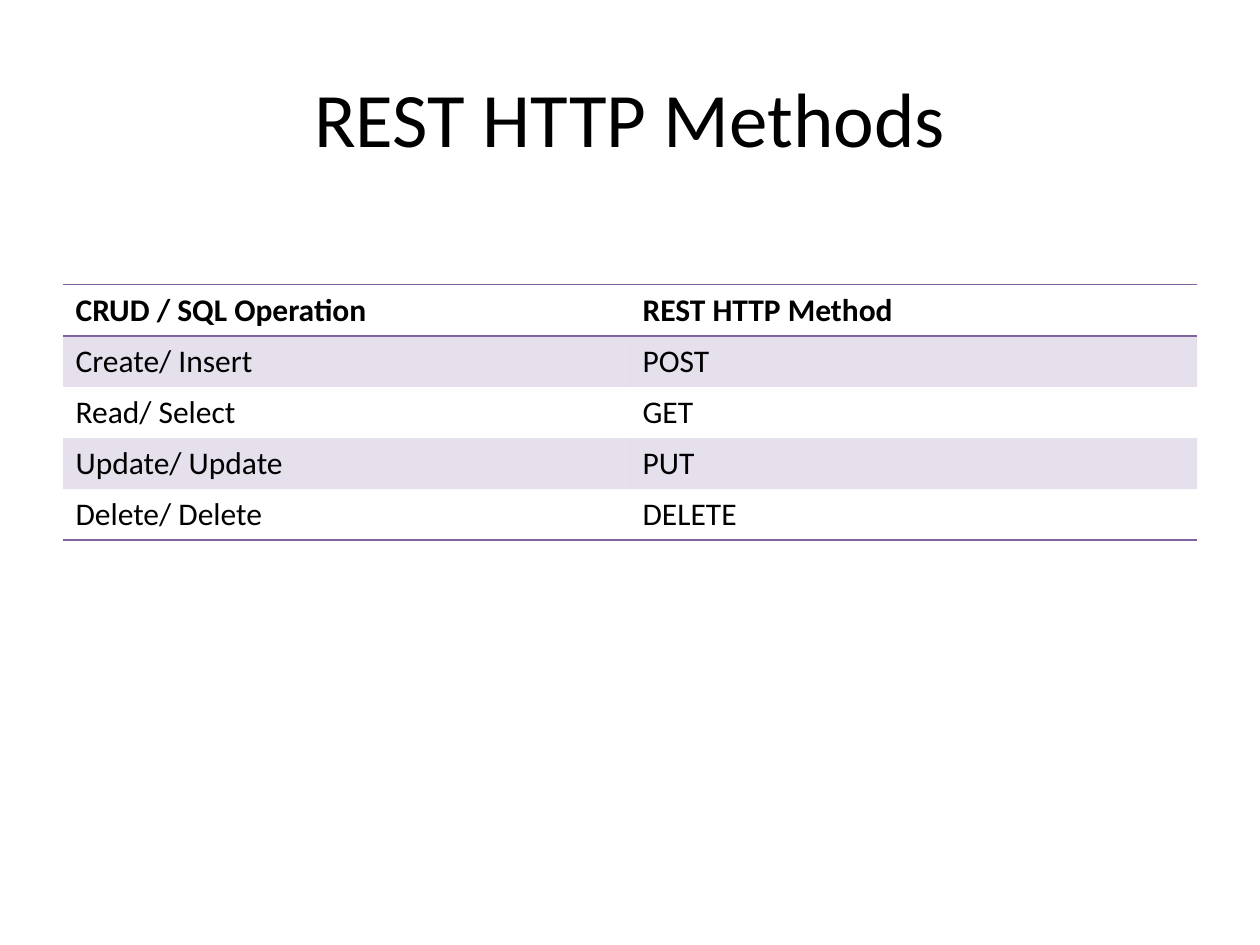
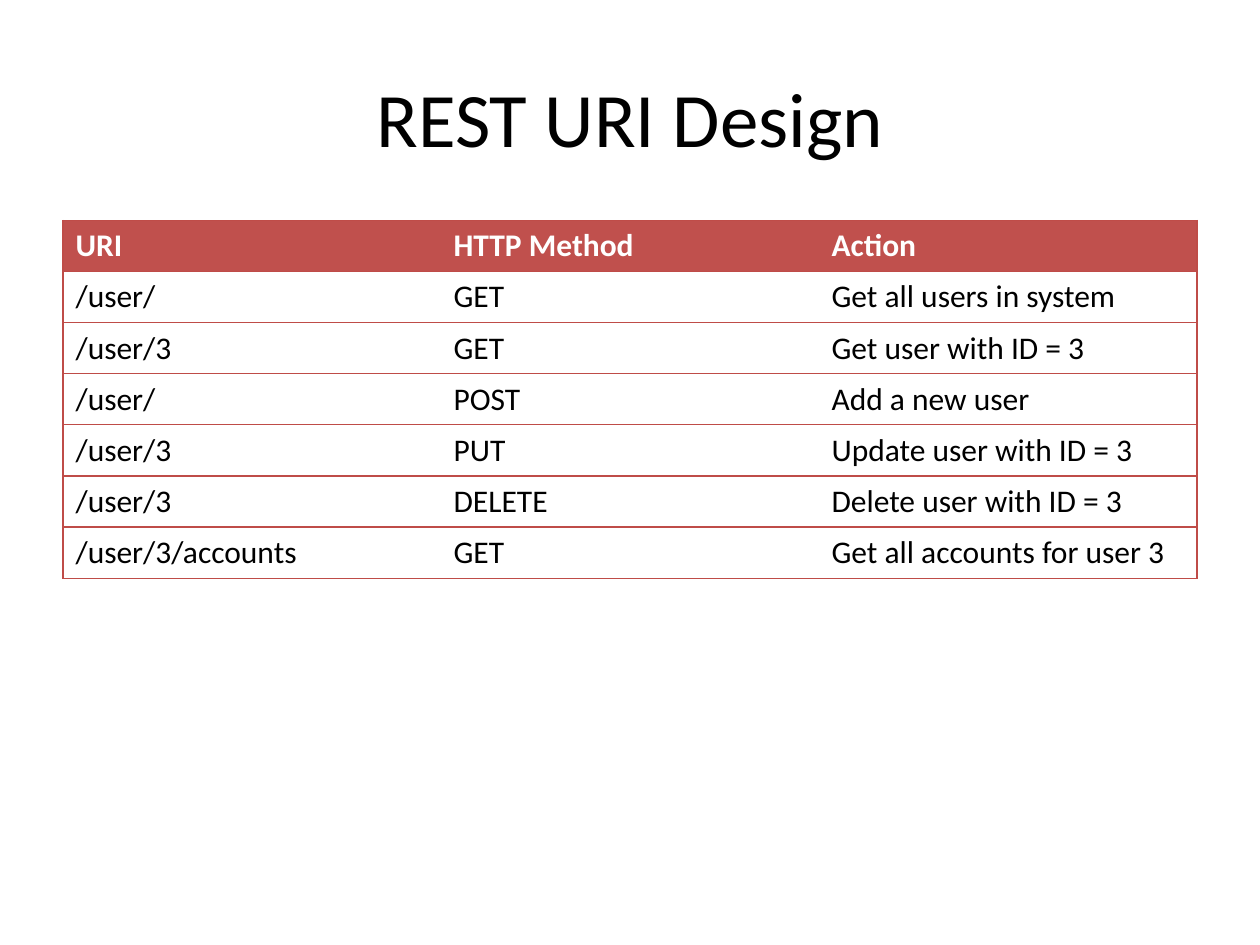
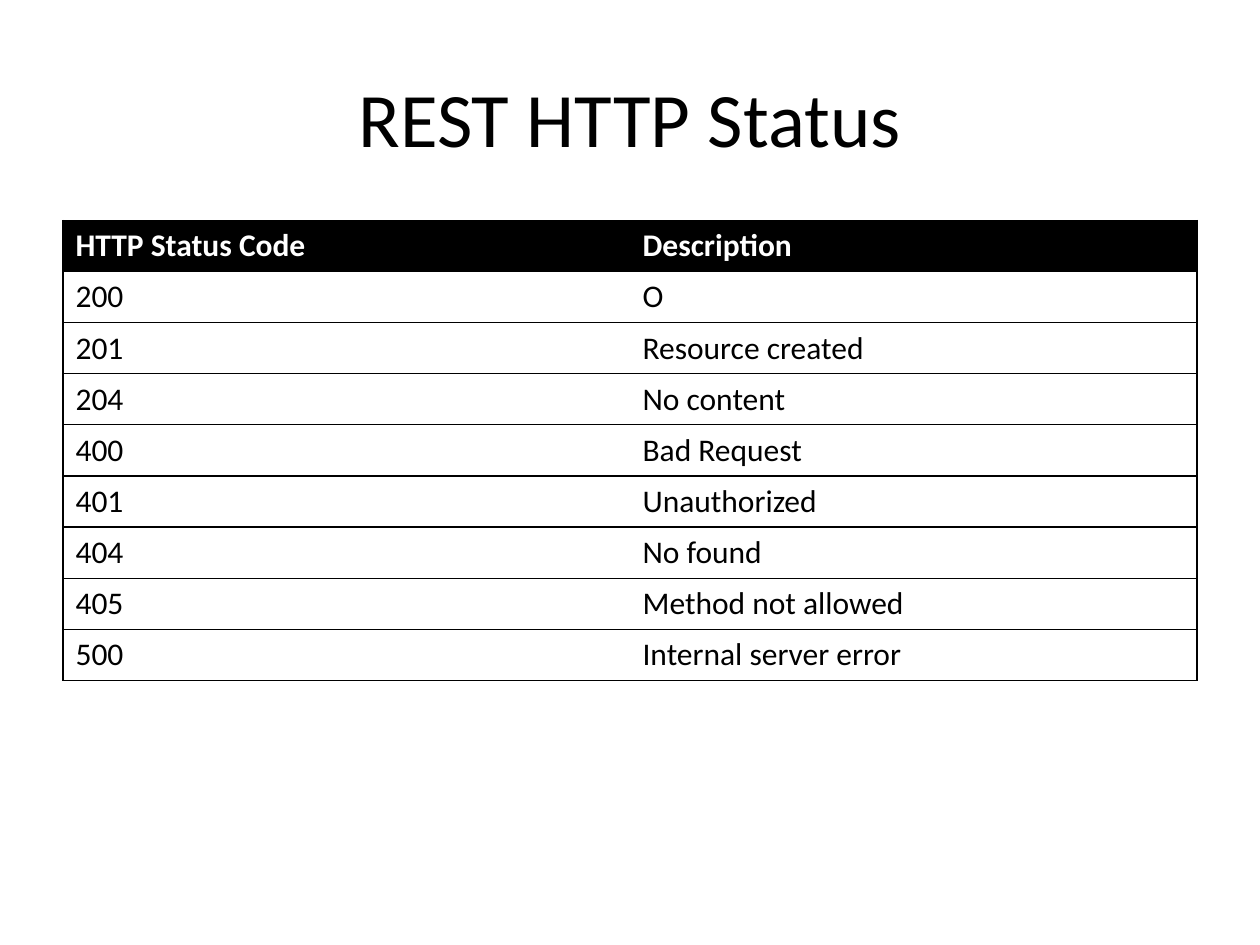
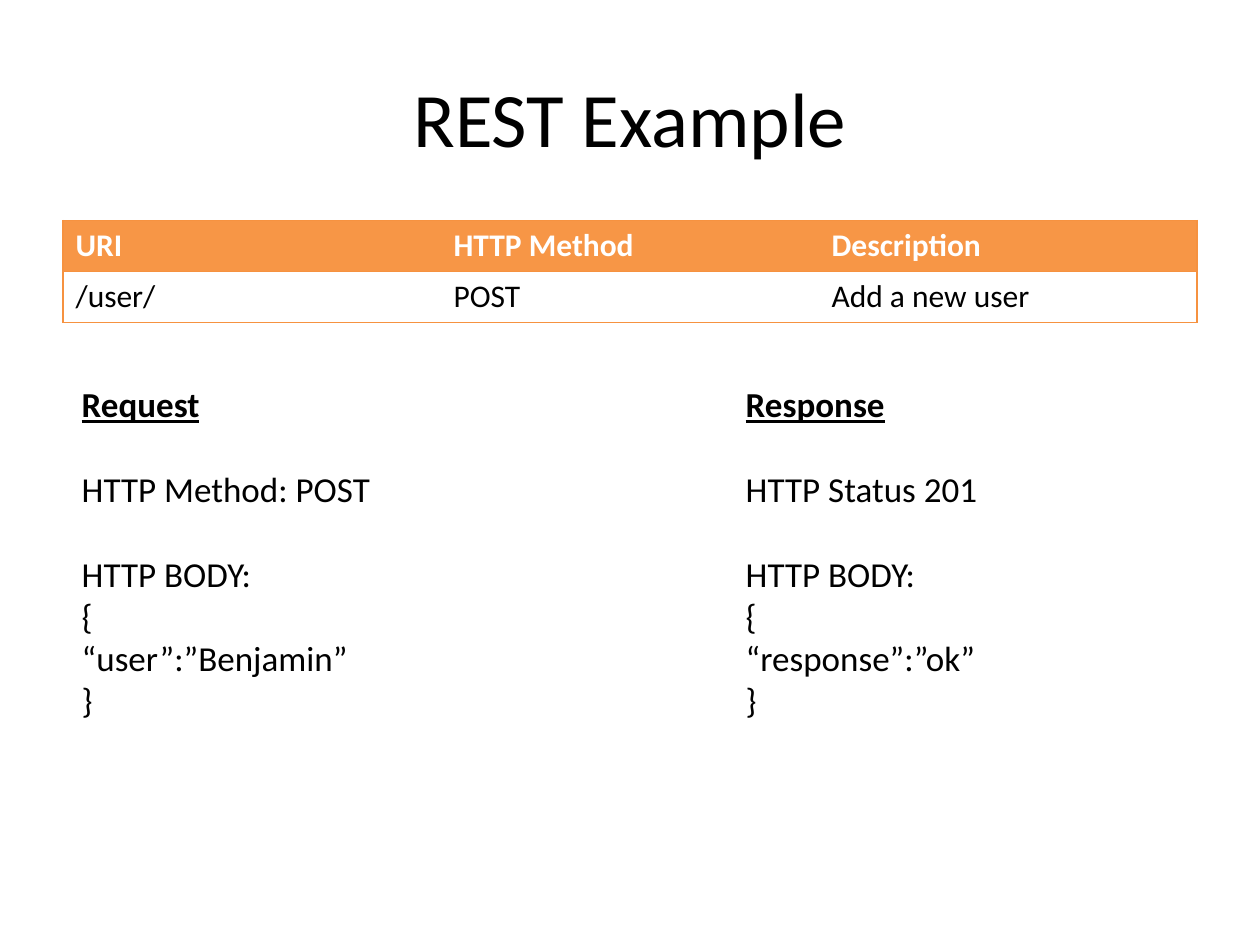
from dataclasses import dataclass

from lxml import etree
from pptx import Presentation
from pptx.dml.color import RGBColor
from pptx.enum.text import MSO_ANCHOR, MSO_AUTO_SIZE, PP_ALIGN
from pptx.oxml.ns import qn
from pptx.util import Inches, Pt

CENTER = PP_ALIGN.CENTER
MIDDLE = MSO_ANCHOR.MIDDLE
GROW = MSO_AUTO_SIZE.SHAPE_TO_FIT_TEXT
TITLE_ONLY = 5
PLAIN_TABLE = "{2D5ABB26-0587-4C30-8999-92F81FD0307C}"


@dataclass(frozen=True)
class Theme:
    font: str = "Calibri"
    ink: str = "000000"
    white: str = "FFFFFF"
    purple: str = "8064A2"
    red: str = "C0504D"
    red_line: str = "BF4C48"
    orange: str = "F79646"
    orange_line: str = "F69240"
    title_size: float = 44
    table_size: float = 18
    body_size: float = 20
    blank_line: float = 24.4
    band_opacity: int = 20
    columns: int = 20
    rows: int = 30
    margin: float = 1
    content_width: float = 18
    table_top: float = 7
    table_row: float = 1.62


class Deck:
    def __init__(self, theme):
        self.theme = theme
        self.deck = Presentation()
        self.deck.slide_width = Inches(10)
        self.deck.slide_height = Inches(7.5)
        self.page = None

    def across(self, columns):
        return round(self.deck.slide_width * columns / self.theme.columns)

    def down(self, rows):
        return round(self.deck.slide_height * rows / self.theme.rows)

    def area(self, left, top, width, height):
        return self.across(left), self.down(top), self.across(width), self.down(height)

    def style(self, para, size, color=None, bold=False, underline=False):
        font = para.font
        font.name = self.theme.font
        font.size = Pt(size)
        font.bold = bold
        font.underline = underline
        font.color.rgb = RGBColor.from_string(color or self.theme.ink)

    def add_page(self, title):
        theme = self.theme
        self.page = self.deck.slides.add_slide(self.deck.slide_layouts[TITLE_ONLY])
        box = self.page.shapes.title
        box.left, box.top, box.width, box.height = self.area(
            theme.margin, 1.2, theme.content_width, 5)
        box.text_frame.text = title
        box.text_frame.vertical_anchor = MIDDLE
        para = box.text_frame.paragraphs[0]
        para.alignment = CENTER
        self.style(para, theme.title_size)

    def add_borders(self, cell, sides, color, width):
        properties = cell._tc.get_or_add_tcPr()
        for side in "LRTB":
            if side in sides:
                line = etree.SubElement(properties, qn(f"a:ln{side}"), w=str(Pt(width)))
                fill = etree.SubElement(line, qn("a:solidFill"))
                etree.SubElement(fill, qn("a:srgbClr"), val=color)

    def fill_cell(self, cell, color, opacity=100):
        if color is None:
            cell.fill.background()
            return
        cell.fill.solid()
        cell.fill.fore_color.rgb = RGBColor.from_string(color)
        if opacity < 100:
            tint = cell._tc.tcPr.find(f"{qn('a:solidFill')}/{qn('a:srgbClr')}")
            etree.SubElement(tint, qn("a:alpha"), val=str(opacity * 1000))

    def add_table(self, records, top):
        theme = self.theme
        frame = self.page.shapes.add_table(
            len(records), len(records[0]),
            *self.area(theme.margin, top, theme.content_width, theme.table_row * len(records)))
        table = frame.table
        table.first_row = table.horz_banding = False
        table._tbl.tblPr.find(qn("a:tableStyleId")).text = PLAIN_TABLE
        for row in table.rows:
            row.height = self.down(theme.table_row)
        for row_index, record in enumerate(records):
            for column_index, text in enumerate(record):
                cell = table.cell(row_index, column_index)
                cell.text = text
                yield row_index, column_index, cell

    def add_banded_table(self, records, top, color):
        theme = self.theme
        last = len(records) - 1
        for row, _, cell in self.add_table(records, top):
            self.style(cell.text_frame.paragraphs[0], theme.table_size, bold=row == 0)
            sides = {0: "TB", last: "B"}.get(row, "")
            self.add_borders(cell, sides, color, 1)
            self.fill_cell(cell, color if row % 2 else None, theme.band_opacity)

    def add_ruled_table(self, records, header_color, line_color):
        theme = self.theme
        last_column = len(records[0]) - 1
        for row, column, cell in self.add_table(records, theme.table_top):
            header = row == 0
            self.style(cell.text_frame.paragraphs[0], theme.table_size,
                       theme.white if header else theme.ink, bold=header)
            sides = "TB"
            if column == 0:
                sides += "L"
            if column == last_column:
                sides += "R"
            self.add_borders(cell, sides, line_color, 0.75)
            self.fill_cell(cell, header_color if header else None)

    def add_message(self, heading, blocks, left, top, width, height):
        theme = self.theme
        box = self.page.shapes.add_textbox(*self.area(left, top, width, height))
        frame = box.text_frame
        frame.word_wrap = True
        frame.auto_size = GROW
        frame.text = heading
        self.style(frame.paragraphs[0], theme.body_size, bold=True, underline=True)
        for block in blocks:
            for index, line in enumerate(block):
                para = frame.add_paragraph()
                para.text = line
                if index == 0:
                    para.space_before = Pt(theme.blank_line)
                self.style(para, theme.body_size)


METHODS = [
    ("CRUD / SQL Operation", "REST HTTP Method"),
    ("Create/ Insert", "POST"),
    ("Read/ Select", "GET"),
    ("Update/ Update", "PUT"),
    ("Delete/ Delete", "DELETE"),
]
URIS = [
    ("URI", "HTTP Method", "Action"),
    ("/user/", "GET", "Get all users in system"),
    ("/user/3", "GET", "Get user with ID = 3"),
    ("/user/", "POST", "Add a new user"),
    ("/user/3", "PUT", "Update user with ID = 3"),
    ("/user/3", "DELETE", "Delete user with ID = 3"),
    ("/user/3/accounts", "GET", "Get all accounts for user 3"),
]
STATUSES = [
    ("HTTP Status Code", "Description"),
    ("200", "O"),
    ("201", "Resource created"),
    ("204", "No content"),
    ("400", "Bad Request"),
    ("401", "Unauthorized"),
    ("404", "No found"),
    ("405", "Method not allowed"),
    ("500", "Internal server error"),
]
EXAMPLE = [
    ("URI", "HTTP Method", "Description"),
    ("/user/", "POST", "Add a new user"),
]
REQUEST = [["HTTP Method: POST"], ["HTTP BODY:", "{", "“user”:”Benjamin”", "}"]]
RESPONSE = [["HTTP Status 201"], ["HTTP BODY:", "{", "“response”:”ok”", "}"]]


def main():
    theme = Theme()
    deck = Deck(theme)

    deck.add_page("REST HTTP Methods")
    deck.add_banded_table(METHODS, 9.04, theme.purple)

    deck.add_page("REST URI Design")
    deck.add_ruled_table(URIS, theme.red, theme.red_line)

    deck.add_page("REST HTTP Status")
    deck.add_ruled_table(STATUSES, theme.ink, theme.ink)

    deck.add_page("REST Example")
    deck.add_ruled_table(EXAMPLE, theme.orange, theme.orange_line)
    deck.add_message("Request", REQUEST, 1.1, 11.96, 5.82, 12.24)
    deck.add_message("Response", RESPONSE, 11.64, 11.96, 5.76, 11.16)

    deck.deck.save("out.pptx")


if __name__ == "__main__":
    main()
